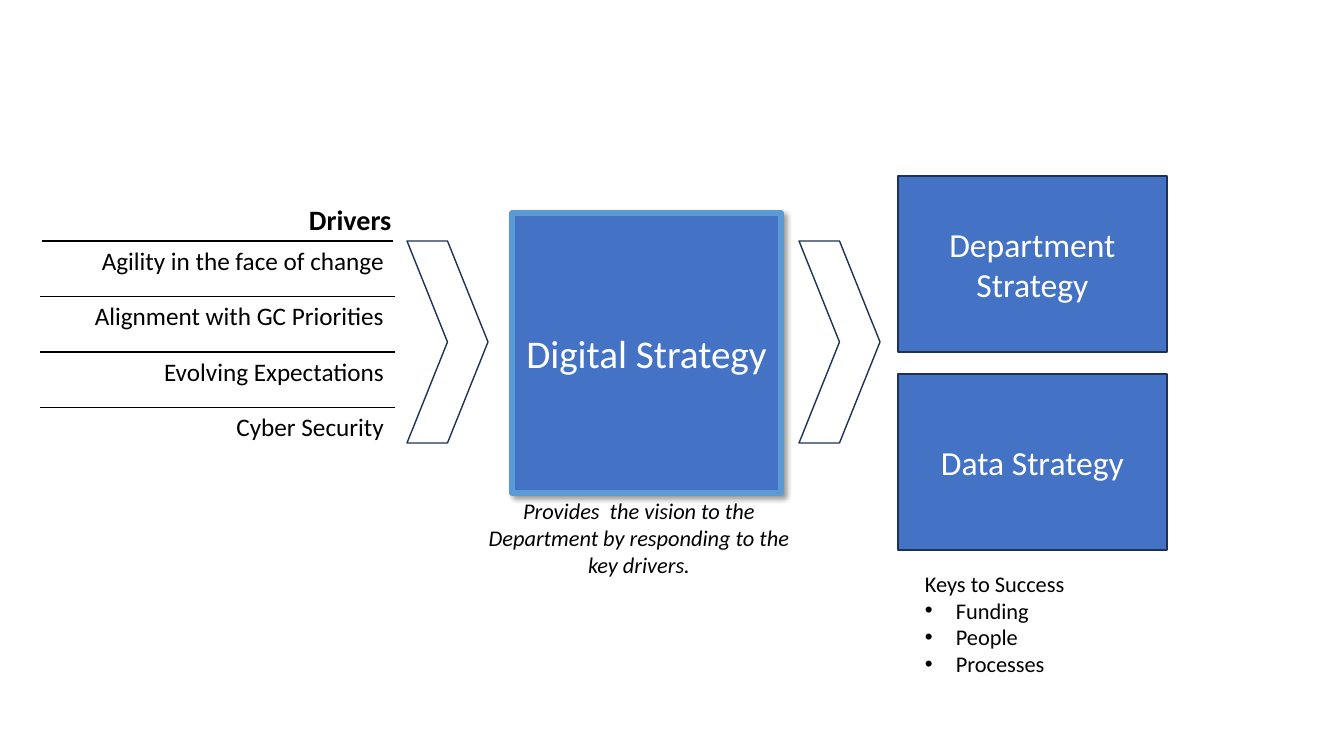
from lxml import etree
from pptx import Presentation
from pptx.dml.color import RGBColor
from pptx.enum.shapes import MSO_SHAPE
from pptx.enum.text import MSO_ANCHOR, PP_ALIGN
from pptx.oxml import parse_xml
from pptx.oxml.ns import nsdecls, qn
from pptx.util import Pt

RECTANGLE, CHEVRON = MSO_SHAPE.RECTANGLE, MSO_SHAPE.CHEVRON
LEFT, CENTER, RIGHT = PP_ALIGN.LEFT, PP_ALIGN.CENTER, PP_ALIGN.RIGHT
TOP, MIDDLE = MSO_ANCHOR.TOP, MSO_ANCHOR.MIDDLE

FONT = "Calibri"
BLUE, NAVY, SKY = "4472C4", "1E3256", "5B9BD5"
BLACK, WHITE = "000000", "FFFFFF"
EMU_PER_PX = 914400 / 100.8

# Boxes are (left, top, width, height) in px
SLIDE_SIZE = (1344, 756)
STRATEGIES = [
    # text, box, size, line colour, line width
    ("Department Strategy", (898, 176, 269, 176), 24, NAVY, 1),
    ("Data Strategy", (898, 374, 269, 176), 24, NAVY, 1),
    ("Digital Strategy", (512, 213, 269, 280), 28, SKY, 3.75),
]
CHEVRONS = [(407, 241, 81, 202), (799, 241, 81, 202)]
DRIVERS_TITLE = ("Drivers", (299, 198, 104, 44))
DRIVERS = ["Agility in the face of change", "Alignment with GC Priorities",
           "Evolving Expectations", "Cyber Security"]
DRIVERS_BOX = (41, 241, 353, 222)
VISION = ("Provides  the vision to the Department by responding to the key drivers.",
          (467, 492, 344, 92))
KEYS_TITLE = "Keys to Success"
KEYS = ["Funding", "People", "Processes"]
KEYS_BOX = (915, 558, 236, 131)
BULLET_INDENT = 31


def px(length):
    return round(length * EMU_PER_PX)


def color(value):
    return RGBColor.from_string(value)


def write(frame, text, size=16, ink=BLACK, align=LEFT, bold=False, italic=False,
          anchor=TOP, wrap=True):
    """Fill the frame, one paragraph per line of text."""
    frame.word_wrap = wrap
    frame.vertical_anchor = anchor
    for index, line in enumerate(text.split("\n")):
        para = frame.paragraphs[0] if index == 0 else frame.add_paragraph()
        para.alignment = align
        span = para.add_run()
        span.text = line
        span.font.name = FONT
        span.font.size = Pt(size)
        span.font.bold = bold
        span.font.italic = italic
        span.font.color.rgb = color(ink)


def add_box(page, kind, box, line, line_width=1, fill=None):
    shape = page.shapes.add_shape(kind, *map(px, box))
    shape.shadow.inherit = False
    if fill:
        shape.fill.solid()
        shape.fill.fore_color.rgb = color(fill)
    else:
        shape.fill.background()
    shape.line.color.rgb = color(line)
    shape.line.width = Pt(line_width)
    return shape


def add_label(page, text, box, **style):
    label = page.shapes.add_textbox(*map(px, box))
    write(label.text_frame, text, **style)


def add_shadow(shape):
    effects = shape._element.spPr.find(qn("a:effectLst"))
    effects.append(parse_xml(
        f'<a:outerShdw {nsdecls("a")} blurRad="{Pt(4)}" dist="{Pt(3)}" dir="2700000" '
        f'algn="tl" rotWithShape="0"><a:srgbClr val="{BLACK}">'
        '<a:alpha val="40000"/></a:srgbClr></a:outerShdw>'))


def add_bullet(para):
    properties = para._p.get_or_add_pPr()
    properties.set("marL", str(px(BULLET_INDENT)))
    properties.set("indent", str(-px(BULLET_INDENT)))
    etree.SubElement(properties, qn("a:buFont"), typeface="Arial")
    etree.SubElement(properties, qn("a:buChar"), char="•")


def add_cell_rules(cell, edges):
    properties = cell._tc.get_or_add_tcPr()
    for position, edge in enumerate(edges):
        properties.insert(position, parse_xml(
            f'<a:{edge} {nsdecls("a")} w="{Pt(1)}"><a:solidFill>'
            f'<a:srgbClr val="{BLACK}"/></a:solidFill></a:{edge}>'))


def add_drivers(page):
    table = page.shapes.add_table(len(DRIVERS), 1, *map(px, DRIVERS_BOX)).table
    table.first_row = table.horz_banding = False
    for index, driver in enumerate(DRIVERS):
        cell = table.cell(index, 0)
        cell.fill.background()
        write(cell.text_frame, driver, size=18, align=RIGHT)
        is_last = index == len(DRIVERS) - 1
        add_cell_rules(cell, ["lnT"] if is_last else ["lnT", "lnB"])


def main():
    deck = Presentation()
    deck.slide_width, deck.slide_height = map(px, SLIDE_SIZE)
    page = deck.slides.add_slide(deck.slide_layouts[6])

    for text, box, size, line, line_width in STRATEGIES:
        strategy = add_box(page, RECTANGLE, box, line, line_width, fill=BLUE)
        write(strategy.text_frame, text, size=size, ink=WHITE, align=CENTER, anchor=MIDDLE)
    add_shadow(strategy)  # the last one, Digital Strategy, stands out

    keys = add_box(page, RECTANGLE, KEYS_BOX, WHITE)
    write(keys.text_frame, "\n".join([KEYS_TITLE, *KEYS]), anchor=MIDDLE)
    for para in keys.text_frame.paragraphs[1:]:
        add_bullet(para)

    add_drivers(page)
    for box in CHEVRONS:
        add_box(page, CHEVRON, box, NAVY)
    add_label(page, *DRIVERS_TITLE, size=20, bold=True, wrap=False)
    add_label(page, *VISION, align=CENTER, italic=True)
    deck.save("out.pptx")


if __name__ == "__main__":
    main()
